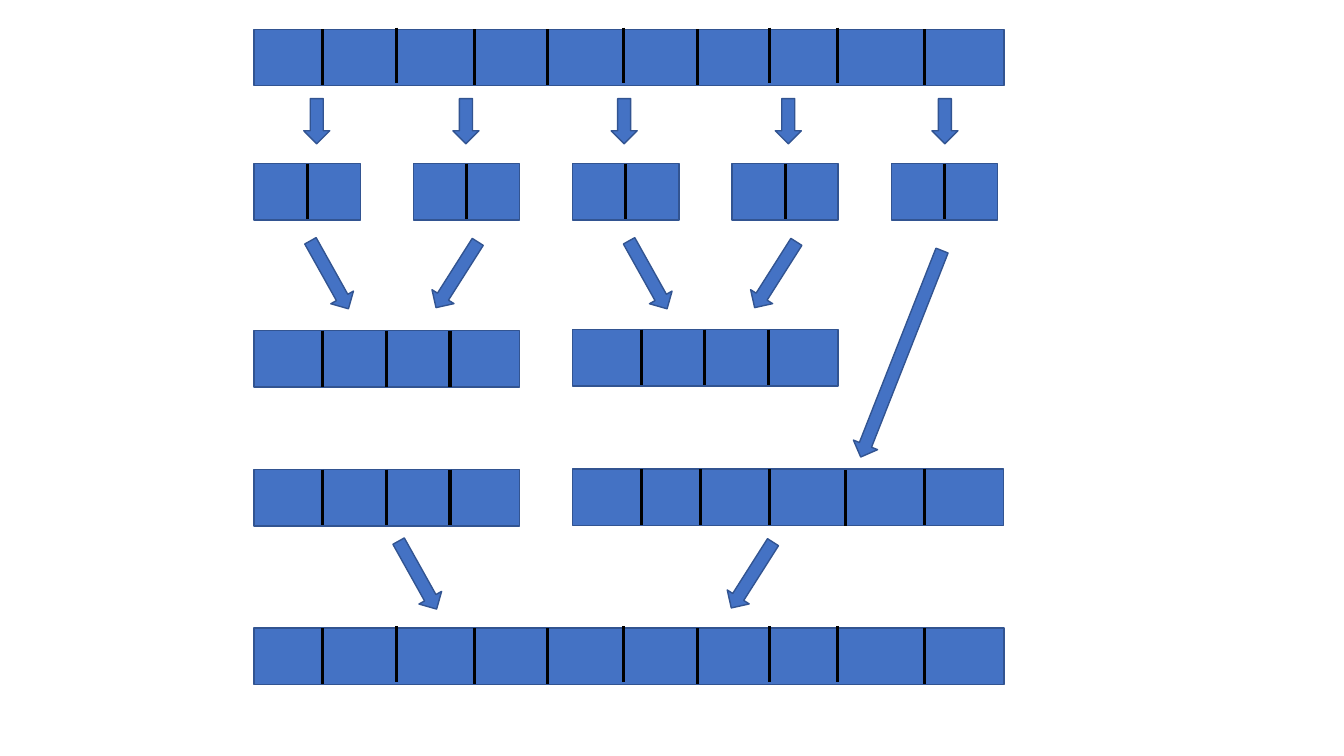
from dataclasses import dataclass

from lxml import etree
from pptx import Presentation
from pptx.dml.color import RGBColor
from pptx.enum.shapes import MSO_CONNECTOR, MSO_SHAPE
from pptx.oxml.ns import qn
from pptx.util import Inches, Pt

BOX = MSO_SHAPE.RECTANGLE
DOWN_ARROW = MSO_SHAPE.DOWN_ARROW
STRAIGHT = MSO_CONNECTOR.STRAIGHT
BLANK_LAYOUT = 6

# Grid: a pair of cells spans two columns, an array is one row high
LEFT, TOP = 2.52, 0.29
COLUMN = 6.32 / 12
ROW = 0.56


@dataclass(frozen=True)
class Theme:
    fill: RGBColor = RGBColor(0x44, 0x72, 0xC4)
    outline: RGBColor = RGBColor(0x32, 0x54, 0x91)
    divider: RGBColor = RGBColor(0, 0, 0)
    outline_width: float = 1
    divider_width: float = 2.25


class MergeSortSlide:
    def __init__(self, slide, theme):
        self.shapes = slide.shapes
        self.theme = theme

    def x(self, column):
        return Inches(LEFT + column * COLUMN)

    def y(self, row):
        return Inches(TOP + row * ROW)

    def block(self, shapes, kind, column, row, columns, rows):
        shape = shapes.add_shape(kind, self.x(column), self.y(row),
                                 Inches(columns * COLUMN), Inches(rows * ROW))
        shape.shadow.inherit = False
        shape.fill.solid()
        shape.fill.fore_color.rgb = self.theme.fill
        shape.line.color.rgb = self.theme.outline
        shape.line.width = Pt(self.theme.outline_width)
        return shape

    def divider(self, shapes, column, row):
        line = shapes.add_connector(STRAIGHT, self.x(column), self.y(row),
                                    self.x(column), self.y(row + 0.99))
        line.line.color.rgb = self.theme.divider
        line.line.width = Pt(self.theme.divider_width)
        etree.SubElement(line._element.spPr, qn("a:effectLst"))

    def array(self, column, row, columns, splits, shifts=()):
        """Splits are percentages of the width; shifts maps a split to rows."""
        group = self.shapes.add_group_shape().shapes
        self.block(group, BOX, column, row, columns, 1)
        shifts = dict(shifts)
        for split in splits:
            self.divider(group, column + columns * split / 100,
                         row + shifts.get(split, 0))

    def arrow(self, center_column, center_row, rows, angle=0):
        width = 0.49
        arrow = self.block(self.shapes, DOWN_ARROW, center_column - width / 2,
                           center_row - rows / 2, width, rows)
        arrow.rotation = angle


presentation = Presentation()
presentation.slide_width = Inches(13.33)
presentation.slide_height = Inches(7.5)
slide = presentation.slides.add_slide(presentation.slide_layouts[BLANK_LAYOUT])
diagram = MergeSortSlide(slide, Theme())

PAIR_SPLITS = [50]
QUAD_SPLITS = [25.9, 49.8, 73.8]
SIX_SPLITS = [15.9, 29.7, 45.6, 63.3, 81.5]
FULL_SPLITS = [9.1, 19, 29.4, 39.1, 49.3, 59.1, 68.7, 77.8, 89.4]
RAISED_SPLITS = {split: -0.03 for split in (19, 49.3, 68.7, 77.8)}
RIGHTWARD, LEFTWARD = 330.8, 32.4

# Unsorted and sorted full arrays
for full_row in (0, 10.61):
    diagram.array(0, full_row, 14.12, FULL_SPLITS, RAISED_SPLITS)

# Split into five pairs
for pair, arrow_column in enumerate((1.18, 3.99, 6.97, 10.06, 13.01)):
    diagram.arrow(arrow_column, 1.63, 0.8)
    diagram.array(3 * pair, 2.38, 2, PAIR_SPLITS)

# Merge pairs into fours; the last pair joins the right-hand half
for quad_column, quad_row in ((0, 5.34), (6, 5.32), (0, 7.8)):
    diagram.array(quad_column, quad_row, 5, QUAD_SPLITS)
diagram.array(6, 7.79, 8.12, SIX_SPLITS, {63.3: 0.02})
diagram.arrow(12.19, 5.75, 3.93, 21.5)

# Merge arrows: two pairs of pairs, then the two halves
for center_row, from_left, from_right in (
        (4.35, 1.42, 3.82), (4.35, 7.42, 9.82), (9.67, 3.08, 9.38)):
    diagram.arrow(from_left, center_row, 1.38, RIGHTWARD)
    diagram.arrow(from_right, center_row, 1.38, LEFTWARD)

presentation.save("out.pptx")
